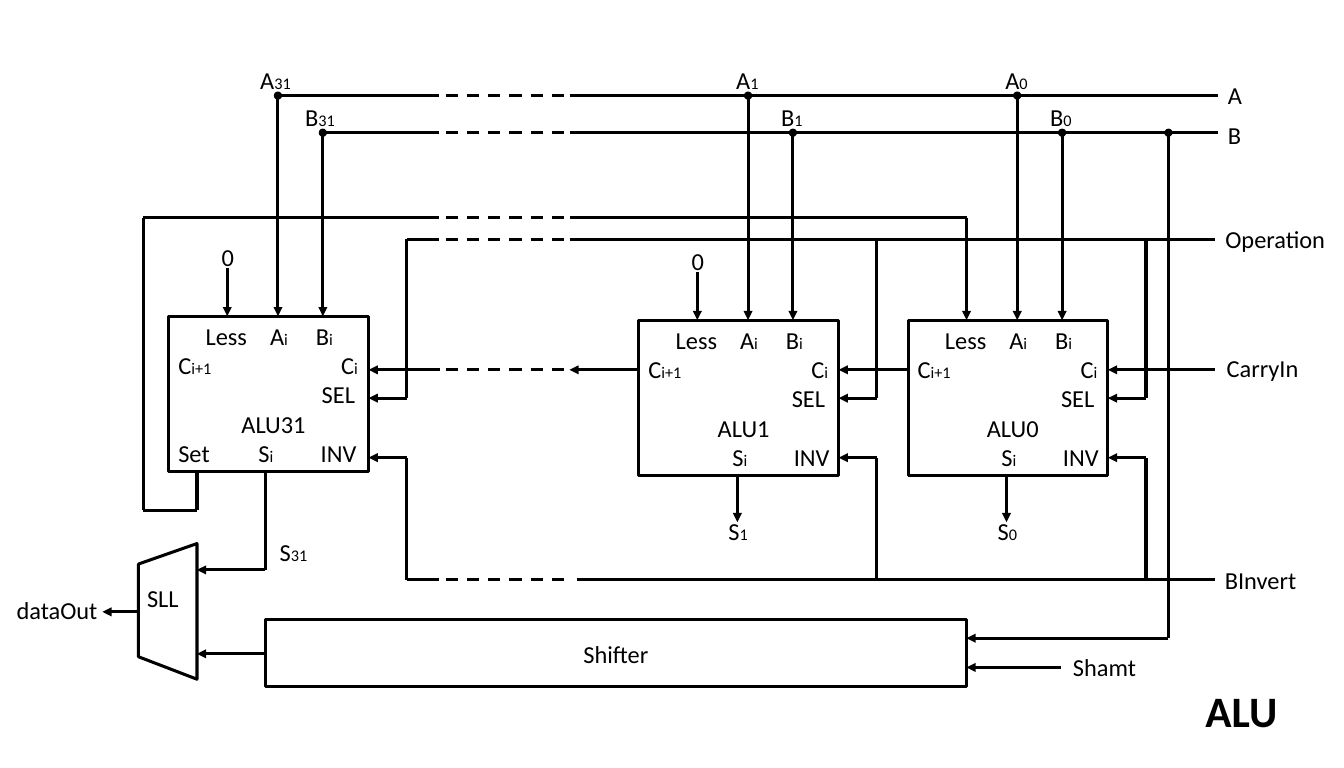
from lxml import etree
from pptx import Presentation
from pptx.dml.color import RGBColor
from pptx.enum.dml import MSO_LINE
from pptx.enum.shapes import MSO_CONNECTOR, MSO_SHAPE
from pptx.enum.text import MSO_ANCHOR, MSO_AUTO_SIZE, PP_ALIGN
from pptx.oxml.ns import qn
from pptx.util import Inches, Pt

COLORS = {"ink": "000000", "paper": "FFFFFF"}
FONT = "Calibri"
ALU_W, ALU_H = 2.05, 1.59
A_Y, B_Y, LESS_Y, OPERATION_Y, INVERT_Y = 0.98, 1.36, 2.23, 2.45, 5.94
CARRY_Y, SEL_Y, INV_Y = 3.79, 4.08, 4.69
DASH_START, DASH_END = 4.57, 5.84
RISER, LESS_PIN, A_PIN, B_PIN, SUM_PIN = 2.44, 0.6, 1.12, 1.58, 1.01
ALUS = [(9.31, 3.28, "0"), (6.55, 3.28, "1"), (1.73, 3.24, "31")]


def color(name):
    return RGBColor.from_string(COLORS[name])


def style_run(r, size, bold=False):
    r.font.name = FONT
    r.font.size = Pt(size)
    r.font.bold = bold
    r.font.color.rgb = color("ink")


def write(p, text, align=PP_ALIGN.LEFT):
    p.alignment = align
    for i, part in enumerate(text.split("|")):
        if part:
            r = p.add_run()
            r.text = part
            style_run(r, 12 if i % 2 else 18)


def text_box(s, x, y, w, h):
    tf = s.shapes.add_textbox(Inches(x), Inches(y), Inches(w), Inches(h)).text_frame
    tf.word_wrap = True
    tf.auto_size = MSO_AUTO_SIZE.SHAPE_TO_FIT_TEXT
    return tf


def label(s, x, y, w, text, align=PP_ALIGN.LEFT):
    write(text_box(s, x, y, w, 0.4).paragraphs[0], text, align)


def outline(sp, fill="paper", width=2.25):
    sp.shadow.inherit = False
    sp.fill.solid()
    sp.fill.fore_color.rgb = color(fill)
    sp.line.color.rgb = color("ink")
    sp.line.width = Pt(width)


def box(s, x, y, w, h):
    sp = s.shapes.add_shape(MSO_SHAPE.RECTANGLE, Inches(x), Inches(y), Inches(w), Inches(h))
    outline(sp)
    return sp


def dot(s, x, y):
    d = 0.07
    sp = s.shapes.add_shape(MSO_SHAPE.OVAL, Inches(x - d / 2), Inches(y - d / 2), Inches(d), Inches(d))
    outline(sp, "ink", 1)


def wire(s, *points, arrow=False, dash=False):
    for start, end in zip(points, points[1:]):
        c = s.shapes.add_connector(MSO_CONNECTOR.STRAIGHT, *map(Inches, start + end))
        c.line.color.rgb = color("ink")
        c.line.width = Pt(2.25)
        if dash:
            c.line.dash_style = MSO_LINE.DASH
        etree.SubElement(c._element.spPr, qn("a:effectLst"))
    if arrow:
        etree.SubElement(c.line._get_or_add_ln(), qn("a:tailEnd"), type="triangle")


def bus(s, left, right, y, resume=DASH_END):
    wire(s, (left, y), (4.5, y))
    wire(s, (DASH_START, y), (DASH_END, y), dash=True)
    wire(s, (resume, y), (right, y))


def add_tabs(p, stops):
    tabs = etree.SubElement(p._p.get_or_add_pPr(), qn("a:tabLst"))
    for stop in stops:
        etree.SubElement(tabs, qn("a:tab"), pos=str(Inches(stop)), algn="l")


def alu(s, x, y, bit):
    box(s, x, y, ALU_W, ALU_H)
    tf = text_box(s, x, y, ALU_W, 1.62)
    tf.margin_right = 0
    last = bit == "31"
    rows = [
        ("\tLess\tA|i|\tB|i", [0.28, 0.94, 1.41]),
        ("C|i+1|\tC|i", [1.67]),
        ("\tSEL", [1.47]),
        ("ALU" + bit, []),
        ("Set\tS|i|\tINV" if last else "\tS|i|\tINV", [0.82, 1.46] if last else [0.86, 1.49]),
    ]
    for i, (text, stops) in enumerate(rows):
        p = tf.paragraphs[0] if i == 0 else tf.add_paragraph()
        write(p, text, PP_ALIGN.LEFT if stops or i != 3 else PP_ALIGN.CENTER)
        if stops:
            add_tabs(p, stops)


def alu_wires(s, x, y, bit):
    shift = 0.28 if bit == "31" else 0.22
    for name, pin, bus_y in (("A", A_PIN, A_Y), ("B", B_PIN, B_Y)):
        wire(s, (x + pin, bus_y), (x + pin, y), arrow=True)
        dot(s, x + pin, bus_y)
        label(s, x + pin - shift, bus_y - 0.36, 0.56, f"{name}|{bit}")
    riser, side = x + RISER, x + ALU_W
    wire(s, (riser, OPERATION_Y), (riser, SEL_Y), (side, SEL_Y), arrow=True)
    wire(s, (riser, INVERT_Y), (riser, INV_Y), (side, INV_Y), arrow=True)
    if bit != "0":
        wire(s, (x + LESS_PIN, y - 0.49), (x + LESS_PIN, y), arrow=True)
        label(s, x + LESS_PIN - 0.22, y - 0.81, 0.45, "0", PP_ALIGN.CENTER)
    if bit != "31":
        wire(s, (x + SUM_PIN, y + ALU_H), (x + SUM_PIN, 5.35), arrow=True)
        label(s, x + 0.82, 5.24, 0.56, f"S|{bit}")


def buses(s):
    bus(s, 2.84, 12.49, A_Y)
    bus(s, 3.3, 12.49, B_Y)
    bus(s, 1.47, 9.91, LESS_Y)
    bus(s, 4.17, 12.46, OPERATION_Y)
    bus(s, 4.17, 12.46, INVERT_Y, resume=5.92)
    wire(s, (9.91, LESS_Y), (9.91, 3.28), arrow=True)
    wire(s, (2.02, 4.83), (2.02, 5.23), (1.47, 5.23), (1.47, LESS_Y))


def carry_chain(s):
    for start, end in ((12.46, 11.36), (9.31, 8.6), (6.55, DASH_END), (4.51, 3.78)):
        wire(s, (start, CARRY_Y), (end, CARRY_Y), arrow=True)
    wire(s, (DASH_START, CARRY_Y), (DASH_END, CARRY_Y), dash=True)


def shifter(s):
    sp = box(s, 2.72, 6.35, 7.19, 0.69)
    sp.text_frame.vertical_anchor = MSO_ANCHOR.MIDDLE
    write(sp.text_frame.paragraphs[0], "Shifter", PP_ALIGN.CENTER)
    dot(s, 11.98, B_Y)
    wire(s, (11.98, B_Y), (11.98, 6.54), (9.91, 6.54), arrow=True)
    wire(s, (10.88, 6.84), (9.91, 6.84), arrow=True)
    wire(s, (2.72, 6.7), (2.02, 6.7), arrow=True)


def selector(s):
    corners = [(2.02, 5.57), (2.02, 6.96), (1.42, 6.73), (1.42, 5.78)]
    points = [(Inches(x), Inches(y)) for x, y in corners]
    builder = s.shapes.build_freeform(*points[0])
    builder.add_line_segments(points[1:], close=True)
    outline(builder.convert_to_shape())
    label(s, 1.41, 5.93, 0.8, "SLL")
    wire(s, (2.72, 4.83), (2.72, 5.84), (2.02, 5.84), arrow=True)
    label(s, 2.77, 5.46, 0.56, "S|31")
    wire(s, (1.42, 6.27), (1.05, 6.27), arrow=True)


def signal_names(s):
    for x, y, w, text in (
        (12.43, 2.25, 1.29, "Operation"),
        (12.38, 3.57, 1.13, "CarryIn"),
        (12.36, 5.74, 1.13, "BInvert"),
        (10.76, 6.63, 1.13, "Shamt"),
        (0.02, 6.05, 1.13, "dataOut"),
    ):
        label(s, x, y, w, text, PP_ALIGN.CENTER)
    label(s, 12.49, 0.77, 1.29, "A")
    label(s, 12.49, 1.18, 1.29, "B")


def title(s, text):
    sp = s.shapes.title
    sp.left, sp.top, sp.width, sp.height = map(Inches, (12.26, 6.96, 0.97, 0.64))
    tf = sp.text_frame
    tf.text = text
    tf.word_wrap = False
    tf.auto_size = MSO_AUTO_SIZE.NONE
    tf.vertical_anchor = MSO_ANCHOR.TOP
    p = tf.paragraphs[0]
    p.alignment = PP_ALIGN.LEFT
    style_run(p.runs[0], 32, bold=True)


def main():
    prs = Presentation()
    prs.slide_width, prs.slide_height = Inches(13.78), Inches(7.87)
    s = prs.slides.add_slide(prs.slide_layouts[5])
    title(s, "ALU")
    for x, y, bit in ALUS:
        alu(s, x, y, bit)
        alu_wires(s, x, y, bit)
    buses(s)
    carry_chain(s)
    shifter(s)
    selector(s)
    signal_names(s)
    prs.save("out.pptx")


if __name__ == "__main__":
    main()
